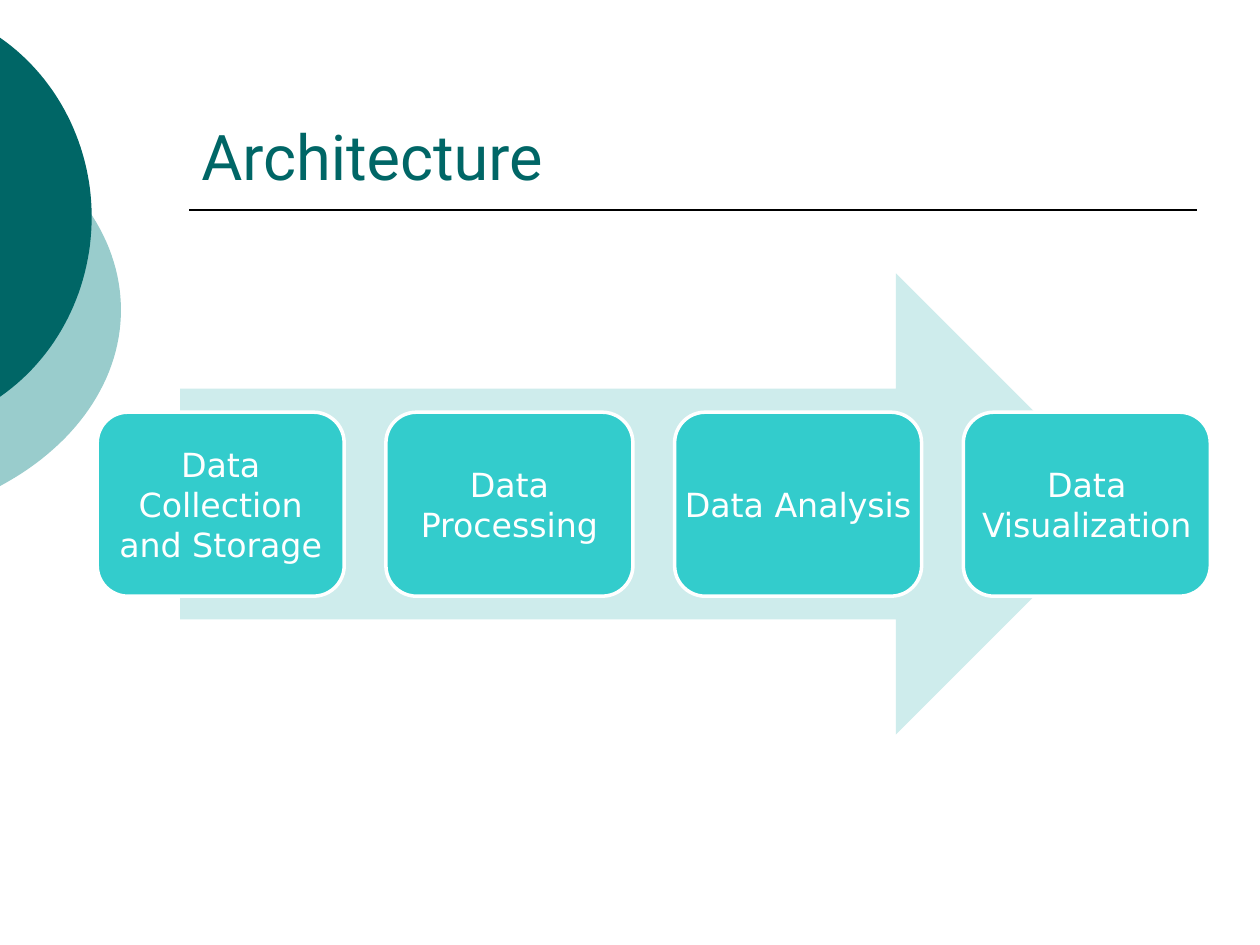
"""Build the Architecture slide: four process steps over a wide arrow."""
from lxml import etree
from pptx import Presentation
from pptx import util as u
from pptx.dml.color import RGBColor
from pptx.enum import shapes, text
from pptx.oxml import ns

TITLE = "Architecture"
STEPS = ["Data Collection and Storage", "Data Processing", "Data Analysis", "Data Visualization"]
DISCS = [
    ("99CCCC", [(0, 2.69), (1.52, 3.51), (2.44, 4.83), (2.44, 6.25),
                (2.44, 7.67), (1.52, 8.99), (0, 9.8)]),
    ("006666", [(0, 0.76), (1.17, 1.57), (1.85, 2.95), (1.85, 4.37),
                (1.85, 5.82), (1.17, 7.19), (0, 8)]),
]
STEP_LEFT, STEP_TOP, STEP_WIDTH, STEP_HEIGHT, STEP_PITCH = 1.96, 8.31, 4.98, 3.71, 5.82
CURVE_PARTS = 30


def color(value):
    return RGBColor.from_string(value)


def curve_points(controls):
    points = []
    for start in range(0, len(controls) - 1, 3):
        for part in range(1, CURVE_PARTS + 1):
            t = part / CURVE_PARTS
            weights = ((1 - t) ** 3, 3 * t * (1 - t) ** 2, 3 * t * t * (1 - t), t ** 3)
            corners = controls[start:start + 4]
            points.append(tuple(u.Cm(sum(w * corner[axis] for w, corner in zip(weights, corners)))
                                for axis in (0, 1)))
    return points


def paint(shape, fill, line=None):
    shape.shadow.inherit = False
    shape.fill.solid()
    shape.fill.fore_color.rgb = color(fill)
    if line:
        shape.line.color.rgb = color(line)
        shape.line.width = u.Pt(2)
    else:
        shape.line.fill.background()


def write(shape, words, font_name, size, font_color, anchor, alignment):
    frame = shape.text_frame
    frame.word_wrap = True
    frame.vertical_anchor = anchor
    paragraph = frame.paragraphs[0]
    paragraph.text = words
    paragraph.alignment = alignment
    paragraph.font.name = font_name
    paragraph.font.size = u.Pt(size)
    paragraph.font.color.rgb = color(font_color)
    return frame


def add_disc(slide, fill, controls):
    builder = slide.shapes.build_freeform(*(u.Cm(value) for value in controls[0]))
    builder.add_line_segments(curve_points(controls), close=True)
    paint(builder.convert_to_shape(), fill)


def add_title(slide):
    rule = slide.shapes.add_connector(shapes.MSO_CONNECTOR.STRAIGHT,
                                      u.Cm(3.81), u.Cm(4.23), u.Cm(24.13), u.Cm(4.23))
    rule.line.color.rgb = color("000000")
    rule.line.width = u.Pt(1)
    etree.SubElement(rule._element.spPr, ns.qn("a:effectLst"))
    title = slide.shapes.add_textbox(u.Cm(3.81), u.Cm(0.84), u.Cm(20.32), u.Cm(3.18))
    write(title, TITLE, "Roboto", 36, "006666", text.MSO_ANCHOR.BOTTOM, text.PP_ALIGN.LEFT)


def add_step(slide, index, words):
    step = slide.shapes.add_shape(shapes.MSO_SHAPE.ROUNDED_RECTANGLE,
                                  u.Cm(STEP_LEFT + index * STEP_PITCH), u.Cm(STEP_TOP),
                                  u.Cm(STEP_WIDTH), u.Cm(STEP_HEIGHT))
    paint(step, "33CCCC", "FFFFFF")
    frame = write(step, words, "DejaVu Sans", 19, "FFFFFF",
                  text.MSO_ANCHOR.MIDDLE, text.PP_ALIGN.CENTER)
    frame.margin_left = frame.margin_right = frame.margin_top = frame.margin_bottom = 0


def main():
    presentation = Presentation()
    presentation.slide_width, presentation.slide_height = u.Cm(25.4), u.Cm(19.05)
    slide = presentation.slides.add_slide(presentation.slide_layouts[6])
    for fill, controls in DISCS:
        add_disc(slide, fill, controls)
    add_title(slide)
    arrow = slide.shapes.add_shape(shapes.MSO_SHAPE.RIGHT_ARROW,
                                   u.Cm(3.63), u.Cm(5.51), u.Cm(19.08), u.Cm(9.3))
    paint(arrow, "CEECEC")
    for index, words in enumerate(STEPS):
        add_step(slide, index, words)
    presentation.save("out.pptx")


if __name__ == "__main__":
    main()
